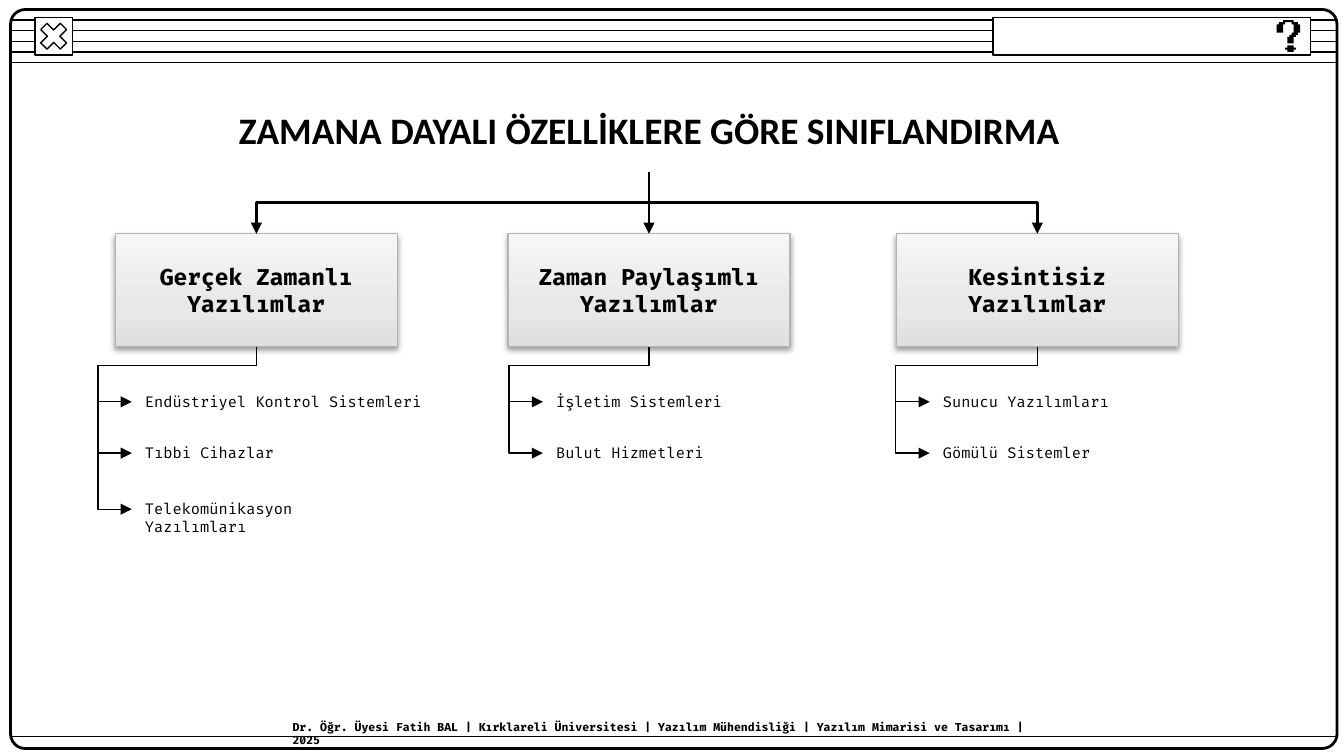
from copy import deepcopy

from lxml.etree import SubElement
from pptx import Presentation
from pptx.dml.color import RGBColor
from pptx.enum.shapes import MSO_CONNECTOR, MSO_SHAPE
from pptx.enum.text import MSO_ANCHOR, MSO_AUTO_SIZE, PP_ALIGN
from pptx.oxml.ns import qn
from pptx.util import Cm, Pt

COLORS = {
    "ink": "000000",
    "paper": "FFFFFF",
    "box_line": "B3B3B3",
    "box_bottom": "DFDFDF",
    "box_middle": "E8E8E8",
    "box_top": "F6F6F6",
}
FORMATS = {
    "title": {"name": "Calibri", "size": Pt(20), "bold": True},
    "box": {"name": "Fira Code", "size": Pt(12), "bold": True},
    "item": {"name": "Fira Code", "size": Pt(8), "bold": False},
    "footer": {"name": "Fira Code", "size": Pt(6), "bold": True},
}
CENTERED = {"vertical_anchor": MSO_ANCHOR.MIDDLE, "auto_size": MSO_AUTO_SIZE.NONE, "word_wrap": True}
GROWING = {"auto_size": MSO_AUTO_SIZE.SHAPE_TO_FIT_TEXT, "word_wrap": True}

QUESTION_HOOK = [
    (3, 0), (3, 1), (1, 1), (1, 2), (0, 2), (0, 6), (3, 6), (3, 2), (4, 2), (4, 1), (7, 1),
    (7, 2), (8, 2), (8, 6), (7, 6), (7, 7), (6, 7), (6, 8), (5, 8), (5, 11), (8, 11), (8, 8),
    (9, 8), (9, 7), (10, 7), (10, 6), (11, 6), (11, 2), (10, 2), (10, 1), (8, 1), (8, 0),
]
QUESTION_DOT = [
    (5, 12), (5, 13), (4, 13), (4, 14), (5, 14), (5, 15),
    (8, 15), (8, 14), (9, 14), (9, 13), (8, 13), (8, 12),
]

BOX_TOP, BOX_WIDTH, BOX_HEIGHT = 4.42, 5.33, 2.13
BOX_BOTTOM = BOX_TOP + BOX_HEIGHT
TRUNK_TOP = 3.25
RAIL_DROP, RAIL_GAP = 0.36, 0.64
ITEM_TOPS = [7.29, 8.26, 9.32]
ITEM_HEIGHT = 0.61
BRANCHES = [
    (2.18, 2.49, "Gerçek Zamanlı Yazılımlar",
     [("Endüstriyel Kontrol Sistemleri", 5.84), ("Tıbbi Cihazlar", 3.4),
      ("Telekomünikasyon Yazılımları", 5.36)]),
    (9.6, 10.26, "Zaman Paylaşımlı Yazılımlar",
     [("İşletim Sistemleri", 5.84), ("Bulut Hizmetleri", 5.84)]),
    (16.94, 17.57, "Kesintisiz Yazılımlar",
     [("Sunucu Yazılımları", 5.84), ("Gömülü Sistemler", 5.84)]),
]


def color(name):
    return RGBColor.from_string(COLORS[name])


class SlideBuilder:
    def __init__(self, slide):
        self.slide = slide
        self.shapes = slide.shapes

    def set_text(self, shape, text, style, frame_values, alignment=PP_ALIGN.LEFT):
        frame = shape.text_frame
        for name, value in frame_values.items():
            setattr(frame, name, value)
        paragraph = frame.paragraphs[0]
        paragraph.alignment = alignment
        run = paragraph.add_run()
        run.text = text
        for name, value in FORMATS[style].items():
            setattr(run.font, name, value)
        run.font.color.rgb = color("ink")

    def title(self, text, left, top, width, height):
        shape = self.shapes.title
        bounds = {"left": left, "top": top, "width": width, "height": height}
        for name, value in bounds.items():
            setattr(shape, name, Cm(value))
        margins = {f"margin_{side}": Cm(0.25) for side in ("left", "top", "right", "bottom")}
        self.set_text(shape, text, "title", CENTERED | margins, PP_ALIGN.CENTER)

    def text(self, text, style, left, top, width, height):
        shape = self.shapes.add_textbox(Cm(left), Cm(top), Cm(width), Cm(height))
        self.set_text(shape, text, style, GROWING)

    def shape(self, kind, left, top, width, height, fill="paper", line="ink", weight=0.75, adjust=None):
        shape = self.shapes.add_shape(kind, Cm(left), Cm(top), Cm(width), Cm(height))
        shape.shadow.inherit = False
        if fill:
            shape.fill.solid()
            shape.fill.fore_color.rgb = color(fill)
        else:
            shape.fill.background()
        shape.line.color.rgb = color(line)
        shape.line.width = Pt(weight)
        if adjust:
            shape.adjustments[0] = adjust
        return shape

    def box(self, text, left):
        shape = self.shape(MSO_SHAPE.RECTANGLE, left, BOX_TOP, BOX_WIDTH, BOX_HEIGHT, line="box_line")
        shape.fill.gradient()
        shape.fill.gradient_angle = 90
        properties = shape._element.spPr
        stop_list = properties.find(".//" + qn("a:gsLst"))
        stop_list.insert(1, deepcopy(stop_list[0]))
        stops = [(0, "box_bottom"), (0.35, "box_middle"), (1, "box_top")]
        for stop, (position, name) in zip(shape.fill.gradient_stops, stops):
            stop.position = position
            stop.color.rgb = color(name)
        shadow = SubElement(properties.find(qn("a:effectLst")), qn("a:outerShdw"),
                            blurRad=str(Pt(3.1)), dist=str(Pt(1.6)), dir="5400000", rotWithShape="0")
        shade = SubElement(shadow, qn("a:srgbClr"), val=COLORS["ink"])
        SubElement(shade, qn("a:alpha"), val="38000")
        self.set_text(shape, text, "box", CENTERED, PP_ALIGN.CENTER)

    def pixels(self, points, left, top, unit):
        builder = self.shapes.build_freeform(*points[0], scale=Cm(unit))
        builder.add_line_segments(points[1:], close=True)
        shape = builder.convert_to_shape(Cm(left), Cm(top))
        shape.shadow.inherit = False
        shape.fill.solid()
        shape.fill.fore_color.rgb = color("ink")
        shape.line.fill.background()

    def line(self, kind, x1, y1, x2, y2, weight=0.75):
        connector = self.shapes.add_connector(kind, Cm(x1), Cm(y1), Cm(x2), Cm(y2))
        connector.line.color.rgb = color("ink")
        connector.line.width = Pt(weight)
        SubElement(connector._element.spPr, qn("a:effectLst"))
        return connector

    def elbow(self, x1, y1, x2, y2, weight, rail=None):
        run, rise = abs(x2 - x1), y2 - y1
        x, y = (x1 + x2) / 2, (y1 + y2) / 2
        connector = self.line(MSO_CONNECTOR.ELBOW, x - rise / 2, y - run / 2,
                              x + rise / 2, y + run / 2, weight)
        properties = connector._element.spPr
        transform = properties.find(qn("a:xfrm"))
        transform.set("rot", "16200000" if x2 > x1 else "5400000")
        if x2 > x1:
            transform.set("flipH", "1")
        SubElement(properties.find(qn("a:ln")), qn("a:tailEnd"), type="triangle")
        if rail is not None:
            geometry = properties.find(qn("a:prstGeom"))
            geometry.set("prst", "bentConnector4")
            for child in list(geometry):
                geometry.remove(child)
            guides = SubElement(geometry, qn("a:avLst"))
            ratios = {"adj1": RAIL_DROP / rise, "adj2": (x1 - rail) / run}
            for name, ratio in ratios.items():
                SubElement(guides, qn("a:gd"), name=name, fmla=f"val {round(ratio * 100000)}")

    def window(self):
        for index in range(5):
            y = 0.38 + 0.2 * index
            self.line(MSO_CONNECTOR.STRAIGHT, 0.2, y, 25.27, y)
        self.shape(MSO_SHAPE.ROUNDED_RECTANGLE, 0.2, 0.18, 25.07, 13.97,
                   fill=None, weight=1.5, adjust=0.02)
        self.shape(MSO_SHAPE.RECTANGLE, 0.66, 0.33, 0.71, 0.71)
        self.shape(MSO_SHAPE.MATH_MULTIPLY, 0.66, 0.33, 0.71, 0.71, adjust=0.235)
        self.line(MSO_CONNECTOR.STRAIGHT, 0.2, 13.92, 25.27, 13.92)
        self.shape(MSO_SHAPE.RECTANGLE, 18.77, 0.33, 6, 0.71)
        for points in (QUESTION_DOT, QUESTION_HOOK):
            self.pixels(points, 24.13, 0.38, 0.04)

    def branch(self, trunk, left, item_left, heading, items):
        center = left + BOX_WIDTH / 2
        self.box(heading, left)
        self.elbow(trunk, TRUNK_TOP, center, BOX_TOP, 1.5)
        for top, (text, width) in zip(ITEM_TOPS, items):
            self.text(text, "item", item_left, top, width, ITEM_HEIGHT)
            self.elbow(center, BOX_BOTTOM, item_left, top + ITEM_HEIGHT / 2, 0.75, item_left - RAIL_GAP)


def main():
    presentation = Presentation()
    presentation.slide_width = Cm(25.4)
    presentation.slide_height = Cm(14.29)
    builder = SlideBuilder(presentation.slides.add_slide(presentation.slide_layouts[5]))
    builder.window()
    builder.text("Dr. Öğr. Üyesi Fatih BAL | Kırklareli Üniversitesi | Yazılım Mühendisliği | "
                 "Yazılım Mimarisi ve Tasarımı | 2025", "footer", 5.28, 13.49, 14.86, 0.51)
    builder.title("ZAMANA DAYALI ÖZELLİKLERE GÖRE SINIFLANDIRMA", 1.57, 1.65, 21.41, 1.6)
    trunk = BRANCHES[1][0] + BOX_WIDTH / 2
    for branch in BRANCHES:
        builder.branch(trunk, *branch)
    presentation.save("out.pptx")


if __name__ == "__main__":
    main()
